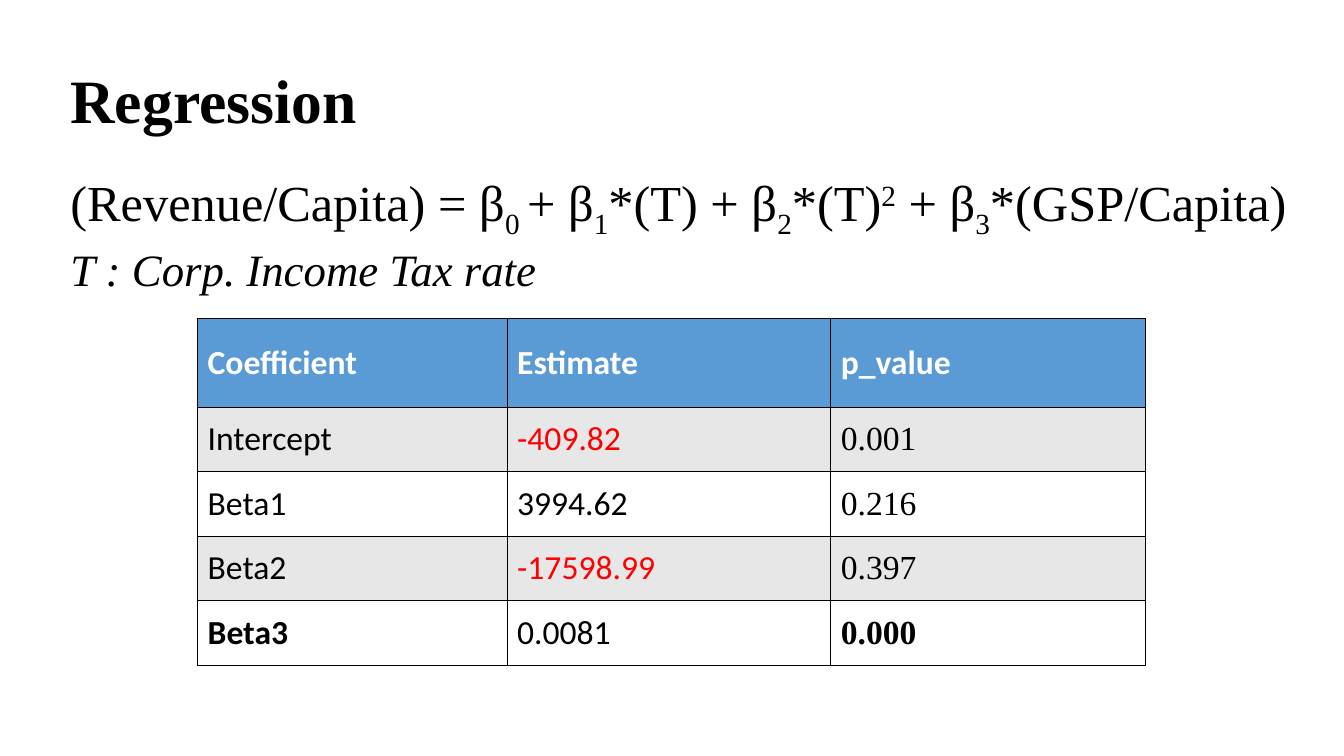
from lxml.etree import SubElement
from pptx import Presentation
from pptx.dml.color import RGBColor
from pptx.enum.text import MSO_ANCHOR as Anchor
from pptx.oxml.ns import qn
from pptx.util import Inches, Pt

WIDTH, HEIGHT = 13.33, 7.5
SERIF, SANS = "Times New Roman", "Calibri"
COLORS = {"ink": "000000", "negative": "FF0000", "header": "5B9BD5",
          "band": "E7E7E7", "paper": "FFFFFF"}
SUB, SUPER = -25000, 30000
EQUATION = [("(Revenue/Capita) = β", 0), ("0 ", SUB), ("+ β", 0), ("1", SUB),
            ("*(T) + β", 0), ("2", SUB), ("*(T)", 0), ("2", SUPER),
            (" + β", 0), ("3", SUB), ("*(GSP/Capita)", 0)]
RESULTS = [("Coefficient", "Estimate", "p_value"),
           ("Intercept", "-409.82", "0.001"),
           ("Beta1", "3994.62", "0.216"),
           ("Beta2", "-17598.99", "0.397"),
           ("Beta3", "0.0081", "0.000")]
SIGNIFICANT = {"Beta3", "0.000"}
COLUMN_WIDTHS = (3.07, 3.21, 3.12)
HEADER_HEIGHT, ROW_HEIGHT = 0.88, 0.64


def add_span(para, text, size, face=SERIF, color="ink", bold=False, italic=False, baseline=0):
    span = para.add_run()
    span.text = text
    font = span.font
    font.size, font.name, font.bold, font.italic = Pt(size), face, bold, italic
    font.color.rgb = RGBColor.from_string(COLORS[color])
    if baseline:
        span._r.get_or_add_rPr().set("baseline", str(baseline))


def add_text_frame(page, box, anchor):
    frame = page.shapes.add_textbox(*map(Inches, box)).text_frame
    frame.word_wrap = True
    frame.vertical_anchor = anchor
    frame.paragraphs[0].line_spacing = 0.9
    return frame


def add_title(page, box):
    frame = add_text_frame(page, box, Anchor.MIDDLE)
    add_span(frame.paragraphs[0], "Regression", 44, bold=True)


def add_model(page, box):
    frame = add_text_frame(page, box, Anchor.TOP)
    for text, baseline in EQUATION:
        add_span(frame.paragraphs[0], text, 36, baseline=baseline)
    legend = frame.add_paragraph()
    legend.line_spacing = 0.9
    legend.space_before = Pt(10)
    add_span(legend, "T : Corp. Income Tax rate", 32, italic=True)


def set_borders(cell):
    properties = cell._tc.get_or_add_tcPr()
    for side in ("a:lnL", "a:lnR", "a:lnT", "a:lnB"):
        line = SubElement(properties, qn(side), w=str(Pt(1)))
        fill = SubElement(line, qn("a:solidFill"))
        SubElement(fill, qn("a:srgbClr"), val=COLORS["ink"])


def fill_cell(cell, text, row, column):
    header = row == 0
    set_borders(cell)
    cell.fill.solid()
    background = "header" if header else "band" if row % 2 else "paper"
    cell.fill.fore_color.rgb = RGBColor.from_string(COLORS[background])
    cell.vertical_anchor = Anchor.MIDDLE
    color = "paper" if header else "negative" if text.startswith("-") else "ink"
    face = SERIF if column == 2 and not header else SANS
    add_span(cell.text_frame.paragraphs[0], text, 24, face, color,
             bold=header or text in SIGNIFICANT)


def add_results(page, box):
    table = page.shapes.add_table(len(RESULTS), len(COLUMN_WIDTHS), *map(Inches, box)).table
    for column, width in zip(table.columns, COLUMN_WIDTHS):
        column.width = Inches(width)
    for index, row in enumerate(table.rows):
        row.height = Inches(ROW_HEIGHT if index else HEADER_HEIGHT)
    for row, texts in enumerate(RESULTS):
        for column, text in enumerate(texts):
            fill_cell(table.cell(row, column), text, row, column)


def main():
    deck = Presentation()
    deck.slide_width, deck.slide_height = Inches(WIDTH), Inches(HEIGHT)
    page = deck.slides.add_slide(deck.slide_layouts[6])
    add_title(page, (0.6, 0.3, 11.5, 1.45))
    add_model(page, (0.6, 1.66, 12.56, 1.54))
    table_height = HEADER_HEIGHT + ROW_HEIGHT * (len(RESULTS) - 1)
    add_results(page, (1.96, 3.16, sum(COLUMN_WIDTHS), table_height))
    deck.save("out.pptx")


if __name__ == "__main__":
    main()
